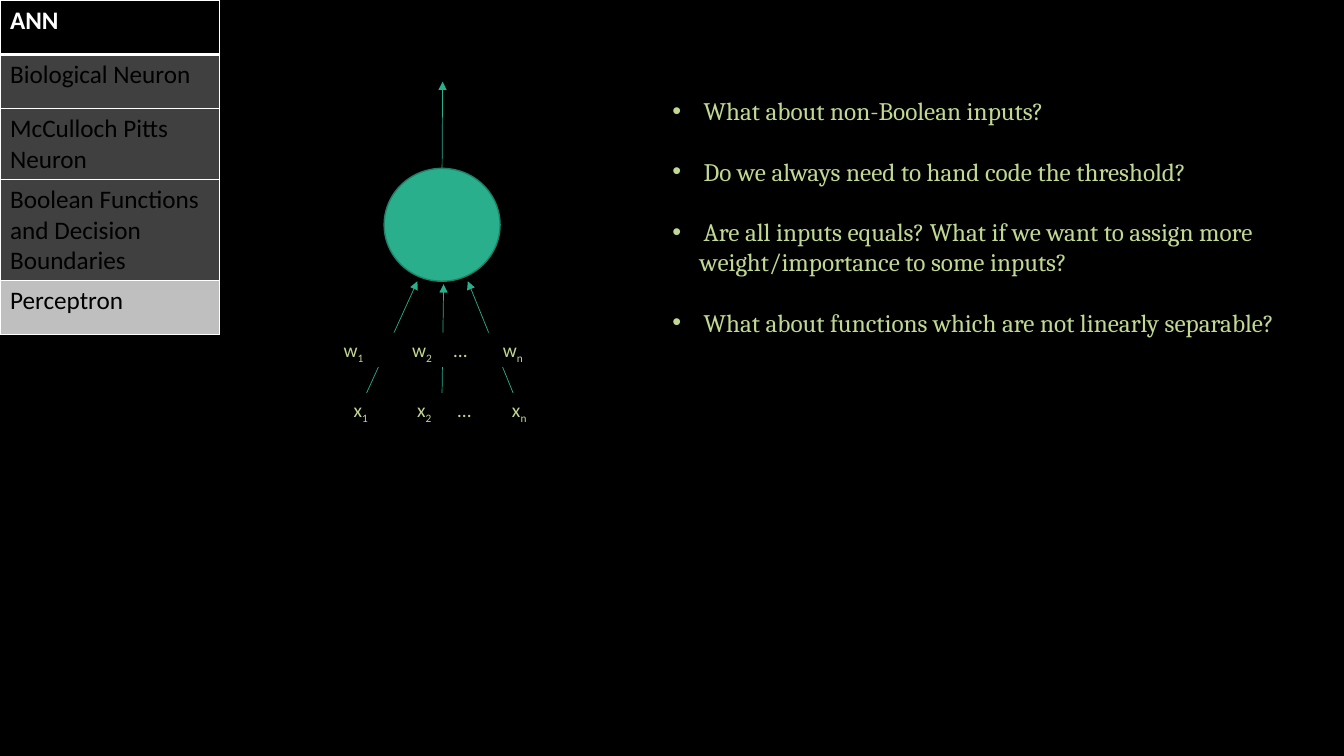
from dataclasses import dataclass

from lxml.etree import SubElement
from pptx import Presentation
from pptx.dml.color import RGBColor
from pptx.enum.shapes import MSO_CONNECTOR, MSO_SHAPE
from pptx.enum.text import MSO_ANCHOR
from pptx.oxml import parse_xml
from pptx.oxml.ns import nsdecls, qn
from pptx.util import Inches, Pt


@dataclass(frozen=True)
class Theme:
    background: str = "000000"
    neuron: str = "29AF8C"
    neuron_edge: str = "1E8168"
    text: str = "C1D892"
    white: str = "FFFFFF"
    black: str = "000000"
    done: str = "404040"
    current: str = "BFBFBF"
    label_font: str = "Calibri"
    body_font: str = "Cambria"
    label_size: float = 14
    body_size: float = 18


THEME = Theme()


def apply_format(target, values):
    for name, value in values.items():
        setattr(target, name, value)


def paint(fill, color):
    fill.solid()
    fill.fore_color.rgb = RGBColor.from_string(color)


def add_run(paragraph, text, font, size, color, bold=False):
    run = paragraph.add_run()
    run.text = text
    apply_format(run.font, {"name": font, "size": Pt(size), "bold": bold})
    run.font.color.rgb = RGBColor.from_string(color)
    return run


def add_arrow(slide, start, end):
    arrow = slide.shapes.add_connector(
        MSO_CONNECTOR.STRAIGHT, *map(Inches, (*start, *end)))
    arrow.line.width = Pt(0.5)
    paint(arrow.line.fill, THEME.neuron)
    SubElement(arrow.line._get_or_add_ln(), qn("a:tailEnd"), type="triangle")
    SubElement(arrow._element.spPr, qn("a:effectLst"))
    return arrow


def add_symbol_row(slide, left, top, width, symbol, tab_stops):
    """One row of subscripted symbols, spaced out with tab stops."""
    row = slide.shapes.add_textbox(*map(Inches, (left, top, width, 0.34)))
    paint(row.fill, THEME.background)
    row.text_frame.word_wrap = True
    paragraph = row.text_frame.paragraphs[0]
    tabs = SubElement(paragraph._p.get_or_add_pPr(), qn("a:tabLst"))
    for stop in tab_stops:
        SubElement(tabs, qn("a:tab"), pos=str(Inches(stop)), algn="l")

    style = (THEME.label_font, THEME.label_size, THEME.text)
    for lead, subscript in ((symbol, "1"), (f"\t{symbol}", "2"),
                            (f"\t…\t{symbol}", "n")):
        add_run(paragraph, lead, *style)
        index = add_run(paragraph, subscript, *style)
        index._r.get_or_add_rPr().set("baseline", "-25000")


def add_neuron(slide, left, top):
    def at(x, y):
        return left + x, top + y

    # Cell body
    body = slide.shapes.add_shape(
        MSO_SHAPE.OVAL, *map(Inches, (*at(0.5, 0.86), 1.15, 1.12)))
    body.shadow.inherit = False
    paint(body.fill, THEME.neuron)
    paint(body.line.fill, THEME.neuron_edge)
    body.line.width = Pt(1)

    # Weighted inputs and output
    for start, end in (((0.28, 3.19), (0.83, 1.98)),
                       ((1.07, 3.39), (1.09, 2.01)),
                       ((1.78, 3.09), (1.33, 1.98))):
        add_arrow(slide, at(*start), at(*end))
    output = add_arrow(slide, at(1.08, 0.85), at(1.08, 0))
    output.begin_connect(body, 0)

    # Input and weight names
    add_symbol_row(slide, *at(0.1, 3.09), 1.94, "x", (0.63, 1.03, 1.57))
    add_symbol_row(slide, *at(0, 2.49), 2.18, "w", (0.68, 1.09, 1.58))


def set_borders(cell, bottom_width):
    properties = cell._tc.get_or_add_tcPr()
    widths = {"lnL": 1, "lnR": 1, "lnT": 1, "lnB": bottom_width}
    for position, (side, width) in enumerate(widths.items()):
        properties.insert(position, parse_xml(
            f'<a:{side} {nsdecls("a")} w="{Pt(width)}"><a:solidFill>'
            f'<a:srgbClr val="{THEME.white}"/></a:solidFill></a:{side}>'))


def add_outline(slide, left, top, width, row_height):
    topics = (
        ("ANN", THEME.black),
        ("Biological Neuron", THEME.done),
        ("McCulloch Pitts Neuron", THEME.done),
        ("Boolean Functions and Decision Boundaries", THEME.done),
        ("Perceptron", THEME.current),
    )
    outline = slide.shapes.add_table(
        len(topics), 1, *map(Inches, (left, top, width,
                                      row_height * len(topics)))).table
    apply_format(outline, {"first_row": True, "horz_banding": False})
    for number, (topic, color) in enumerate(topics):
        heading = number == 0
        outline.rows[number].height = Inches(row_height)
        cell = outline.cell(number, 0)
        cell.vertical_anchor = MSO_ANCHOR.TOP
        paint(cell.fill, color)
        # The thick rule under the heading is shared with the next row
        set_borders(cell, 3 if heading else 1)
        if number == 1:
            cell._tc.tcPr.find(qn("a:lnT")).set("w", str(Pt(3)))
        add_run(cell.text_frame.paragraphs[0], topic, THEME.label_font,
                THEME.body_size, THEME.white if heading else THEME.black,
                heading)


def add_questions(slide, left, top, width, height):
    # Each question is a bulleted line, with any continuation lines after it
    questions = (
        ("What about non-Boolean inputs?",),
        ("Do we always need to hand code the threshold?",),
        ("Are all inputs equals? What if we want to assign more",
         "weight/importance to some inputs?"),
        ("What about functions which are not linearly separable?",),
    )
    box = slide.shapes.add_textbox(*map(Inches, (left, top, width, height)))
    frame = box.text_frame
    apply_format(frame, {"word_wrap": True, "margin_left": 0, "margin_top": 0,
                         "margin_right": 0, "margin_bottom": 0})
    paragraph = frame.paragraphs[0]
    for number, lines in enumerate(questions):
        for part, line in enumerate(lines):
            if number or part:
                paragraph = frame.add_paragraph()
            properties = paragraph._p.get_or_add_pPr()
            if part == 0:
                paragraph.space_before = Pt(21.5 if number else 0)
                properties.set("marL", str(Inches(0.31)))
                properties.set("indent", str(Inches(-0.31)))
                SubElement(properties, qn("a:buFont"), typeface="Arial")
                SubElement(properties, qn("a:buChar"), char="•")
            else:
                properties.set("marL", str(Inches(0.27)))
            add_run(paragraph, line, THEME.body_font, THEME.body_size,
                    THEME.text)


def main():
    deck = Presentation()
    apply_format(deck, {"slide_width": Inches(13.33),
                        "slide_height": Inches(7.5)})
    slide = deck.slides.add_slide(deck.slide_layouts[6])
    paint(slide.background.fill, THEME.background)

    add_neuron(slide, 3.31, 0.81)
    add_outline(slide, 0, 0, 2.18, 0.54)
    add_questions(slide, 6.67, 0.95, 6.3, 2.42)
    deck.save("out.pptx")


if __name__ == "__main__":
    main()
